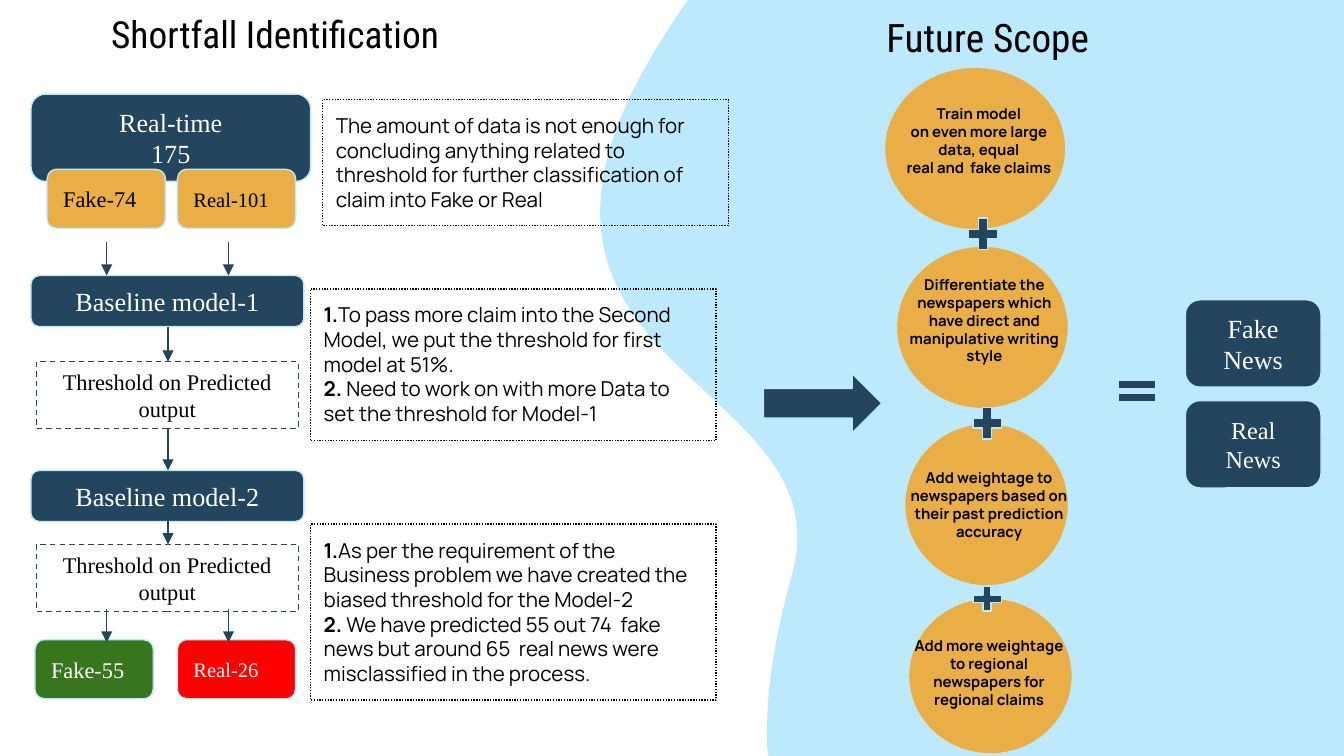
from lxml.etree import SubElement
from pptx import Presentation
from pptx.dml.color import RGBColor
from pptx.enum.dml import MSO_LINE
from pptx.enum.shapes import MSO_CONNECTOR, MSO_SHAPE
from pptx.enum.text import MSO_ANCHOR, PP_ALIGN
from pptx.oxml.ns import qn
from pptx.util import Pt

WIDTH, HEIGHT = 720, 405
COLORS = {"navy": "23455E", "sky": "BDE9FC", "amber": "E9AF46", "green": "38761D",
          "red": "FF0000", "black": "000000", "white": "FFFFFF"}
SERIF, SANS, HEADING = "Times New Roman", "Manrope", "Roboto Condensed"


def color(name):
    return RGBColor.from_string(COLORS[name])


def bezier(start, first, second, end, steps=40):
    """Points along a cubic curve."""
    for step in range(steps + 1):
        t = step / steps
        weights = ((1 - t) ** 3, 3 * t * (1 - t) ** 2, 3 * t * t * (1 - t), t ** 3)
        yield tuple(sum(w * p[axis] for w, p in zip(weights, (start, first, second, end)))
                    for axis in (0, 1))


class Board:
    frame_format = {"word_wrap": True, "margin_left": Pt(7.2), "margin_right": Pt(7.2),
                    "margin_top": Pt(7.2), "margin_bottom": Pt(7.2)}

    def __init__(self, slide):
        self.slide = slide
        self.shapes = slide.shapes

    def set_text(self, holder, paragraphs, size, font=SERIF, ink="black", bold=False,
                 align=PP_ALIGN.CENTER, anchor=MSO_ANCHOR.TOP):
        """Fill a text frame; a (lead, rest) pair gets a bold lead."""
        frame = holder.text_frame
        for name, value in {**self.frame_format, "vertical_anchor": anchor}.items():
            setattr(frame, name, value)
        for index, content in enumerate(paragraphs):
            paragraph = frame.add_paragraph() if index else frame.paragraphs[0]
            paragraph.alignment = align
            pair = isinstance(content, tuple)
            for position, words in enumerate(content if pair else (content,)):
                run = paragraph.add_run()
                run.text = words
                is_bold = bold or (pair and position == 0)
                for name, value in {"name": font, "size": Pt(size), "bold": is_bold}.items():
                    setattr(run.font, name, value)
                run.font.color.rgb = color(ink)

    def style(self, shape, fill, line, dash=None):
        shape.shadow.inherit = False
        if fill:
            shape.fill.solid()
            shape.fill.fore_color.rgb = color(fill)
        else:
            shape.fill.background()
        if line:
            shape.line.color.rgb = color(line)
            shape.line.width = Pt(0.75)
            if dash:
                shape.line.dash_style = dash
        else:
            shape.line.fill.background()

    def title(self, box, words, size):
        holder = self.shapes.title
        for name, value in zip(("left", "top", "width", "height"), box):
            setattr(holder, name, Pt(value))
        self.set_text(holder, [words], size, HEADING)

    def label(self, box, paragraphs, size, font=SANS, bold=True):
        self.set_text(self.shapes.add_textbox(*map(Pt, box)), paragraphs, size, font, bold=bold)

    def shape(self, kind, box, fill=None, line="sky", dash=None):
        shape = self.shapes.add_shape(kind, *map(Pt, box))
        self.style(shape, fill, line, dash)
        return shape

    def card(self, box, paragraphs, size, fill="navy", ink="white", align=PP_ALIGN.CENTER):
        card = self.shape(MSO_SHAPE.ROUNDED_RECTANGLE, box, fill)
        self.set_text(card, paragraphs, size, ink=ink, align=align, anchor=MSO_ANCHOR.MIDDLE)

    def threshold(self, box):
        step = self.shape(MSO_SHAPE.RECTANGLE, box, line="navy", dash=MSO_LINE.DASH)
        self.set_text(step, ["Threshold on Predicted output"], 12, anchor=MSO_ANCHOR.MIDDLE)

    def note(self, box, paragraphs):
        note = self.shape(MSO_SHAPE.RECTANGLE, box, line="black", dash=MSO_LINE.ROUND_DOT)
        self.set_text(note, paragraphs, 11, SANS, align=PP_ALIGN.LEFT)

    def down_arrow(self, x, top, bottom):
        arrow = self.shapes.add_connector(MSO_CONNECTOR.STRAIGHT, Pt(x), Pt(top), Pt(x), Pt(bottom))
        arrow.line.color.rgb = color("navy")
        arrow.line.width = Pt(0.75)
        properties = arrow._element.spPr
        SubElement(properties.find(qn("a:ln")), qn("a:tailEnd"), type="triangle")
        SubElement(properties, qn("a:effectLst"))

    def wave(self, knots):
        """Fill the area to the right of a chain of cubic curves."""
        edge = [(x, min(max(y, 0), HEIGHT))
                for i in range(0, len(knots) - 1, 3) for x, y in bezier(*knots[i:i + 4])]
        outline = edge + [(WIDTH, 0), (WIDTH, HEIGHT)]
        points = [(Pt(x), Pt(y)) for x, y in outline]
        builder = self.shapes.build_freeform(*points[0])
        builder.add_line_segments(points[1:], close=True)
        self.style(builder.convert_to_shape(), "sky", None)


def main():
    deck = Presentation()
    deck.slide_width, deck.slide_height = Pt(WIDTH), Pt(HEIGHT)
    board = Board(deck.slides.add_slide(deck.slide_layouts[5]))

    # Background and headings
    board.wave([(462.2, 495.4), (421.2, 470.9), (393.1, 418.3), (424.1, 308.9),
                (455.8, 199.4), (236.2, 200.2), (359.3, 13.7),
                (365.8, 3.6), (372.2, -5), (378.7, -13)])
    board.title((46, -1.4, 203, 39), "Shortfall Identification", 20)
    board.label((460, 0, 138.2, 40.3), ["Future Scope"], 21, HEADING, bold=False)

    # Pipeline on the left
    board.card((16.6, 50.4, 149.8, 46.8), ["Real-time", "175"], 14)
    for number, model_top, threshold_top in ((1, 147.6, 193.7), (2, 252, 291.6)):
        board.card((16.6, model_top, 146.2, 27.4), [f"Baseline model-{number}"], 14)
        board.threshold((19.4, threshold_top, 140.4, 36))
    for left, top, count, size, fill, ink in (
            (25.2, 90.7, "Fake-74", 12, "amber", "black"),
            (95, 90.7, "Real-101", 11, "amber", "black"),
            (18.7, 342.7, "Fake-55", 12, "green", "white"),
            (95, 342.7, "Real-26", 11, "red", "white")):
        board.card((left, top, 63.4, 31.7), [count], size, fill, ink, PP_ALIGN.LEFT)
    for x, top, bottom in ((57.2, 129.6, 147.6), (122.4, 129.6, 147.6),
                           (90, 175, 193.7), (90, 229.7, 252), (90, 279.4, 291.6),
                           (57.2, 326.2, 344.2), (122.4, 326.2, 344.2)):
        board.down_arrow(x, top, bottom)

    # Shortfall notes
    board.note((172.8, 53.3, 217.4, 67.7), [
        "The amount of data is not enough for concluding anything related to threshold "
        "for further classification of claim into Fake or Real"])
    board.note((166.3, 154.8, 217.4, 81.4), [
        ("1.", "To pass more claim into the Second Model, we put the threshold "
               "for first model at 51%."),
        ("2. ", "Need to work on with more Data to set the threshold for Model-1")])
    board.note((166.3, 280.8, 217.4, 94.3), [
        ("1.", "As per the requirement of the Business problem we have created "
               "the biased threshold for the Model-2"),
        ("2. ", "We have predicted 55 out 74  fake news but around 65  real news "
                "were misclassified in the process.")])

    # Future scope chain
    board.shape(MSO_SHAPE.RIGHT_ARROW, (409, 200.2, 63.4, 31.7), "navy")
    for circle, label, idea in (
            ((473.8, 36, 97.2, 87.1), (462.2, 49, 124.6, 53.3),
             ["Train model", "on even more large", "data, equal", "real and  fake claims"]),
            ((480.2, 131.8, 92.2, 87.1), (478.8, 140.4, 97.2, 63.4),
             ["Differentiate the newspapers which have direct and manipulative writing style"]),
            ((484.6, 226.8, 87.8, 87.1), (478.8, 244.1, 102.2, 53.3),
             ["Add weightage to newspapers based on their past prediction accuracy"]),
            ((486.7, 320.4, 87.8, 83.5), (478.8, 334.1, 102.2, 53.3),
             ["Add more weightage", "to regional newspapers for regional claims"])):
        board.shape(MSO_SHAPE.OVAL, circle, "amber")
        board.label(label, idea, 8)
    for left, top, height in ((516.2, 113.8, 23), (518.4, 215.3, 23), (518.4, 311.8, 18)):
        board.shape(MSO_SHAPE.MATH_PLUS, (left, top, 20.9, height), "navy")

    # Outcome
    board.shape(MSO_SHAPE.MATH_EQUAL, (595.4, 200.2, 27.4, 18.7), "navy")
    board.card((635, 160.6, 72.7, 46.8), ["Fake", "News"], 14)
    board.card((635, 214.6, 72.7, 46.8), ["Real News"], 13)

    deck.save("out.pptx")


if __name__ == "__main__":
    main()
